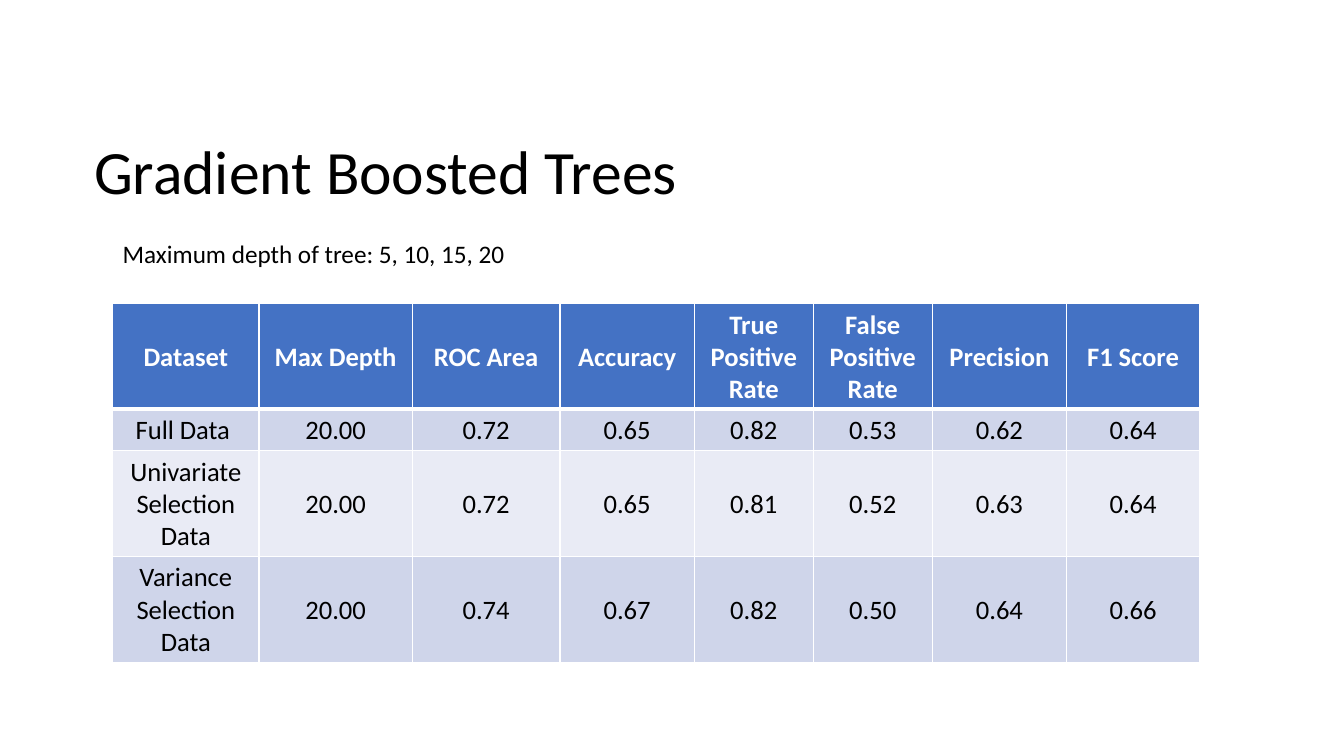
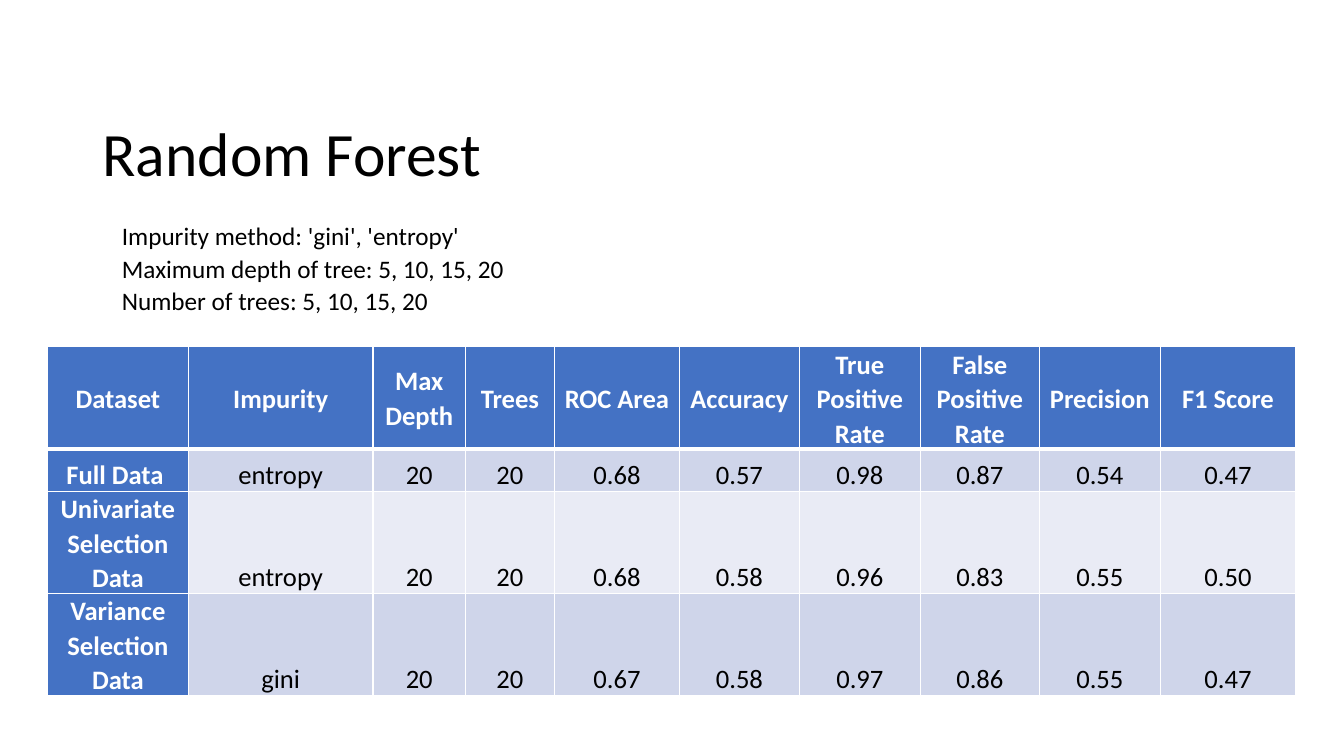
from dataclasses import dataclass

from lxml.etree import SubElement
from pptx import Presentation
from pptx.dml.color import RGBColor
from pptx.enum.text import MSO_ANCHOR as Anchor, MSO_AUTO_SIZE as AutoSize, PP_ALIGN as Align
from pptx.oxml.ns import qn
from pptx.util import Pt

BLACK = RGBColor(0x00, 0x00, 0x00)
WHITE = RGBColor(0xFF, 0xFF, 0xFF)
BLUE = RGBColor(0x44, 0x72, 0xC4)
BANDS = (RGBColor(0xCF, 0xD5, 0xEA), RGBColor(0xE9, 0xEB, 0xF5))

TITLE_FONT = {"name": "Calibri", "size": Pt(44), "bold": False}
NOTE_FONT = {"name": "Calibri", "size": Pt(18)}
HEADING_FONT = {"name": "Calibri", "size": Pt(19), "bold": True}
BODY_FONT = {"name": "Calibri", "size": Pt(19), "bold": False}

METRICS = ["ROC Area", "Accuracy", "True Positive Rate", "False Positive Rate",
           "Precision", "F1 Score"]
DATASETS = ["Full Data ", "Univariate Selection Data", "Variance Selection Data"]
TITLE_ONLY = 5


@dataclass
class TableLook:
    columns: list
    rows: list
    insets: dict
    body_anchor: Anchor
    paragraph: dict
    heading_column: bool


def apply(target, values):
    for name, value in values.items():
        setattr(target, name, value)


def box_values(left, top, width, height):
    return {"left": Pt(left), "top": Pt(top), "width": Pt(width), "height": Pt(height)}


def format_font(font, values, color):
    apply(font, values)
    font.color.rgb = color


def add_borders(cell, widths):
    properties = cell._tc.get_or_add_tcPr()
    for side, width in widths.items():
        line = SubElement(properties, qn(f"a:ln{side}"), w=str(Pt(width)))
        fill = SubElement(line, qn("a:solidFill"))
        SubElement(fill, qn("a:srgbClr"), val=str(WHITE))


def place_title(slide, text, box):
    title = slide.shapes.title
    apply(title, box_values(*box))
    frame = title.text_frame
    frame.text = text
    apply(frame, {"auto_size": AutoSize.NONE, "vertical_anchor": Anchor.MIDDLE,
                  "word_wrap": True})
    paragraph = frame.paragraphs[0]
    apply(paragraph, {"alignment": Align.LEFT, "line_spacing": 0.9})
    format_font(paragraph.font, TITLE_FONT, BLACK)


def place_settings(slide, lines, box, paragraph_format):
    frame = slide.shapes.add_textbox(*box_values(*box).values()).text_frame
    apply(frame, {"text": "\n".join(lines), "word_wrap": False,
                  "auto_size": AutoSize.SHAPE_TO_FIT_TEXT})
    for paragraph in frame.paragraphs:
        apply(paragraph, paragraph_format)
        format_font(paragraph.font, NOTE_FONT, BLACK)


def format_cell(cell, text, row, column, look):
    is_header = row == 0
    is_heading = is_header or (look.heading_column and column == 0)
    cell.text = text
    apply(cell, look.insets)
    cell.vertical_anchor = Anchor.MIDDLE if is_header else look.body_anchor
    add_borders(cell, {"L": 1, "R": 1, "T": 3 if row == 1 else 1, "B": 3 if is_header else 1})
    cell.fill.solid()
    cell.fill.fore_color.rgb = BLUE if is_heading else BANDS[(row - 1) % 2]
    paragraph = cell.text_frame.paragraphs[0]
    apply(paragraph, {"alignment": Align.CENTER, **look.paragraph})
    format_font(paragraph.font, HEADING_FONT if is_heading else BODY_FONT,
                WHITE if is_heading else BLACK)


def place_results(slide, records, left, top, look):
    box = box_values(left, top, sum(look.columns), sum(look.rows))
    table = slide.shapes.add_table(len(records), len(records[0]), *box.values()).table
    table.first_col = look.heading_column
    for column, width in zip(table.columns, look.columns):
        column.width = Pt(width)
    for row, height in zip(table.rows, look.rows):
        row.height = Pt(height)
    for row, record in enumerate(records):
        for column, text in enumerate(record):
            format_cell(table.cell(row, column), text, row, column, look)


def result_records(parameters, results):
    header = ["Dataset", *parameters, *METRICS]
    return [header] + [[name, *result.split()] for name, result in zip(DATASETS, results)]


def cell_insets(side, top):
    return {"margin_left": Pt(side), "margin_right": Pt(side),
            "margin_top": Pt(top), "margin_bottom": Pt(0)}


def add_boosted_trees(presentation):
    slide = presentation.slides.add_slide(presentation.slide_layouts[TITLE_ONLY])
    place_title(slide, "Gradient Boosted Trees", (60, 68, 755, 113))
    records = result_records(["Max Depth"], [
        "20.00 0.72 0.65 0.82 0.53 0.62 0.64",
        "20.00 0.72 0.65 0.81 0.52 0.63 0.64",
        "20.00 0.74 0.67 0.82 0.50 0.64 0.66",
    ])
    look = TableLook([104.5, 109.5, 105.5, 96, 85, 85, 96, 95], [75.6, 29.5, 75.6, 75.6],
                     cell_insets(1.2, 1.2), Anchor.MIDDLE, {}, False)
    place_results(slide, records, 80.5, 216.8, look)
    place_settings(slide, ["Maximum depth of tree: 5, 10, 15, 20"],
                   (80.5, 166.5, 291, 29), {})


def add_random_forest(presentation):
    slide = presentation.slides.add_slide(presentation.slide_layouts[TITLE_ONLY])
    place_title(slide, "Random Forest", (66, 60, 828, 104))
    spacing = {"line_spacing": 1.07}
    place_settings(slide, ["Impurity method: 'gini', 'entropy'",
                           "Maximum depth of tree: 5, 10, 15, 20",
                           "Number of trees: 5, 10, 15, 20"],
                   (80, 152.6, 291, 76), spacing)
    records = result_records(["Impurity", "Max Depth", "Trees"], [
        "entropy 20 20 0.68 0.57 0.98 0.87 0.54 0.47",
        "entropy 20 20 0.68 0.58 0.96 0.83 0.55 0.50",
        "gini 20 20 0.67 0.58 0.97 0.86 0.55 0.47",
    ])
    look = TableLook([100.5, 132, 66, 63.5, 89.5, 85.5, 86.5, 85, 86.5, 96.5],
                     [73, 30, 73, 73], cell_insets(5, 0), Anchor.BOTTOM, spacing, True)
    place_results(slide, records, 34, 247.7, look)


def main():
    presentation = Presentation()
    apply(presentation, {"slide_width": Pt(960), "slide_height": Pt(540)})
    add_boosted_trees(presentation)
    add_random_forest(presentation)
    presentation.save("out.pptx")


if __name__ == "__main__":
    main()
